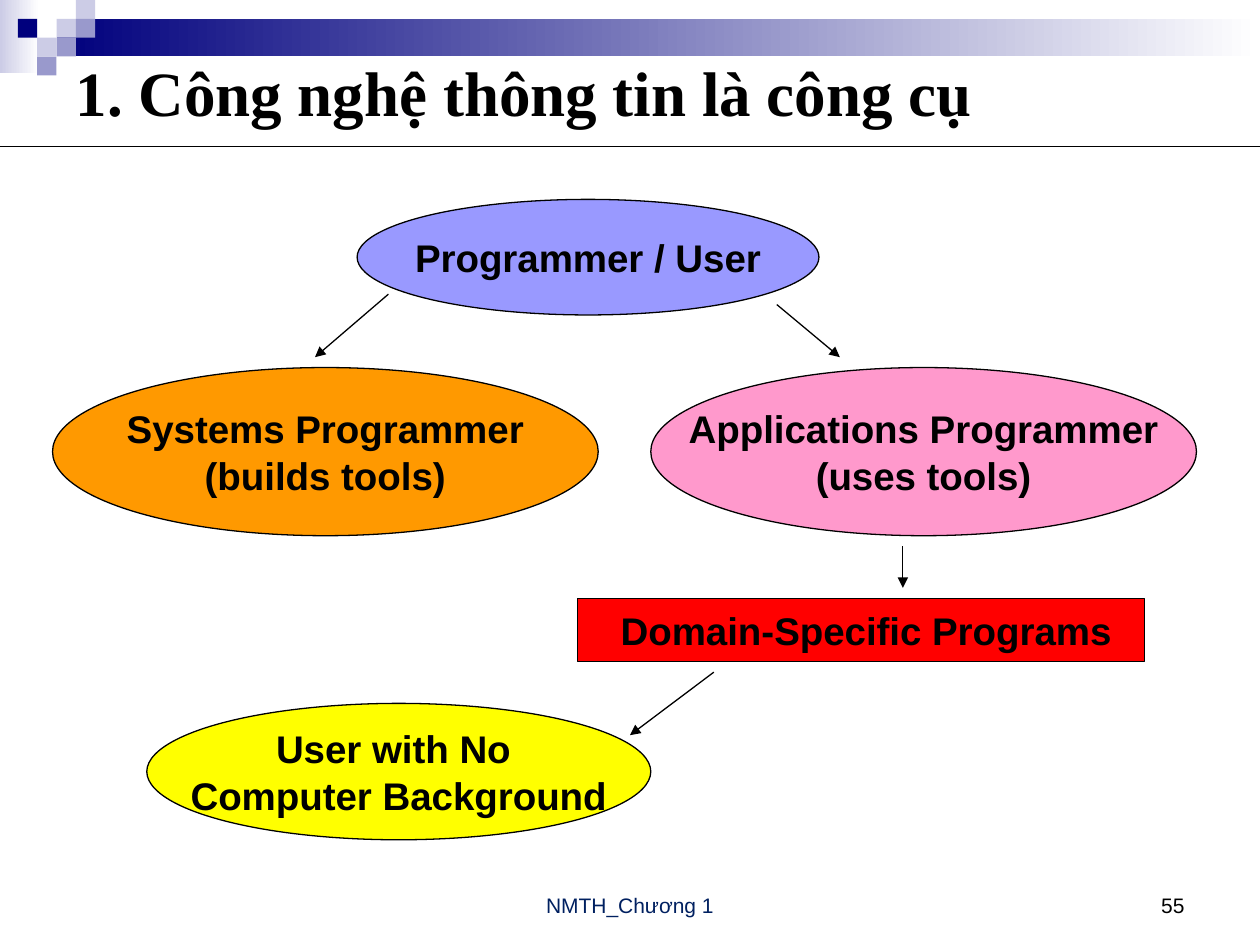
import pptx
import pptx.dml.color
import pptx.enum.shapes
import pptx.enum.text
import pptx.oxml.ns
import pptx.util
from lxml import etree

Cm = pptx.util.Cm
Pt = pptx.util.Pt
Shapes = pptx.enum.shapes.MSO_SHAPE
Align = pptx.enum.text.PP_ALIGN
Anchor = pptx.enum.text.MSO_ANCHOR
qn = pptx.oxml.ns.qn


def color(value):
    return pptx.dml.color.RGBColor.from_string(value)


class SlideBuilder:
    """Holds the style and the page being drawn."""

    font = "Arial"
    ink = "000000"
    line_width = Pt(0.75)

    def __init__(self, page):
        self.page = page

    def set_text(self, shape, lines, size, align, anchor, bold=False, font=None, ink=None, wrap=True):
        frame = shape.text_frame
        frame.text = "\n".join(lines)
        frame.auto_size = pptx.enum.text.MSO_AUTO_SIZE.NONE
        frame.word_wrap = wrap
        frame.vertical_anchor = anchor
        for paragraph in frame.paragraphs:
            paragraph.alignment = align
            paragraph.font.name = font or self.font
            paragraph.font.size = Pt(size)
            paragraph.font.bold = bold
            paragraph.font.color.rgb = color(ink or self.ink)

    def title(self, text, *place):
        box = self.page.shapes.title
        box.left, box.top, box.width, box.height = map(Cm, place)
        self.set_text(box, [text], 36, Align.JUSTIFY, Anchor.MIDDLE, True, "Times New Roman")

    def block(self, kind, fill, *place):
        shape = self.page.shapes.add_shape(kind, *map(Cm, place))
        shape.shadow.inherit = False
        shape.fill.solid()
        shape.fill.fore_color.rgb = color(fill)
        shape.line.fill.background()
        return shape

    def fading_bar(self, start, *place):
        """Draw a bar that fades from start to white, left to right."""
        fill = self.block(Shapes.RECTANGLE, start, *place).fill
        fill.gradient()
        fill.gradient_angle = 0
        for stop, value, position in zip(fill.gradient_stops, (start, "FFFFFF"), (0, 1)):
            stop.color.rgb = color(value)
            stop.position = position

    def node(self, kind, fill, lines, *place):
        shape = self.block(kind, fill, *place)
        shape.line.color.rgb = color(self.ink)
        shape.line.width = self.line_width
        self.set_text(shape, lines, 22, Align.CENTER, Anchor.MIDDLE, True, wrap=False)

    def line(self, *ends, arrow=False):
        straight = pptx.enum.shapes.MSO_CONNECTOR.STRAIGHT
        connector = self.page.shapes.add_connector(straight, *map(Cm, ends))
        connector.line.color.rgb = color(self.ink)
        connector.line.width = self.line_width
        properties = connector.element.spPr
        if arrow:
            outline = properties.find(qn("a:ln"))
            etree.SubElement(outline, qn("a:tailEnd"), type="triangle", w="med", len="med")
        etree.SubElement(properties, qn("a:effectLst"))

    def footer(self, text, align, ink, left, width):
        box = self.page.shapes.add_textbox(Cm(left), Cm(17.36), Cm(width), Cm(1.27))
        self.set_text(box, [text], 12, align, Anchor.BOTTOM, ink=ink)


def main():
    deck = pptx.Presentation()
    deck.slide_width, deck.slide_height = Cm(25.4), Cm(19.05)
    slide = SlideBuilder(deck.slides.add_slide(deck.slide_layouts[5]))

    slide.fading_bar("CCCCE6", 0, 0, 0.79, 1.47)
    slide.fading_bar("00007D", 1.14, 0.38, 24.26, 0.76)
    mosaic = [(2, 1, "CCCCE6"), (3, 0, "CCCCE6"), (3, 1, "9999CC"), (1, 2, "CCCCE6"),
              (0, 1, "00007D"), (2, 2, "9999CC"), (1, 3, "9999CC")]
    for column, row, fill in mosaic:
        slide.block(Shapes.RECTANGLE, fill, 0.36 + 0.39 * column, 0.38 * row, 0.39, 0.38)

    slide.title("1. Công nghệ thông tin là công cụ", 1.27, 0.64, 22.86, 2.41)
    slide.line(0, 2.96, 25.4, 2.96)

    slide.node(Shapes.OVAL, "9999FF", ["Programmer / User"], 7.2, 4.02, 9.31, 2.33)
    slide.node(Shapes.OVAL, "FF9900", ["Systems Programmer", "(builds tools)"],
               1.06, 7.41, 11, 3.39)
    slide.node(Shapes.OVAL, "FF99CC", ["Applications Programmer", "(uses tools)"],
               13.12, 7.41, 11, 3.39)
    slide.node(Shapes.RECTANGLE, "FF0000", [" Domain-Specific Programs"],
               11.64, 12.07, 11.43, 1.27)
    slide.node(Shapes.OVAL, "FFFF00", ["User with No ", "Computer Background"],
               2.96, 14.18, 10.16, 2.75)

    for ends in [(7.83, 5.93, 6.35, 7.2), (15.66, 6.14, 16.93, 7.2),
                 (18.2, 11.01, 18.2, 11.85), (14.39, 13.55, 12.7, 14.82)]:
        slide.line(*ends, arrow=True)

    slide.footer("NMTH_Chương 1", Align.CENTER, "002060", 8.68, 8.04)
    slide.footer("55", Align.RIGHT, "000000", 18.2, 5.93)
    deck.save("out.pptx")


if __name__ == "__main__":
    main()
